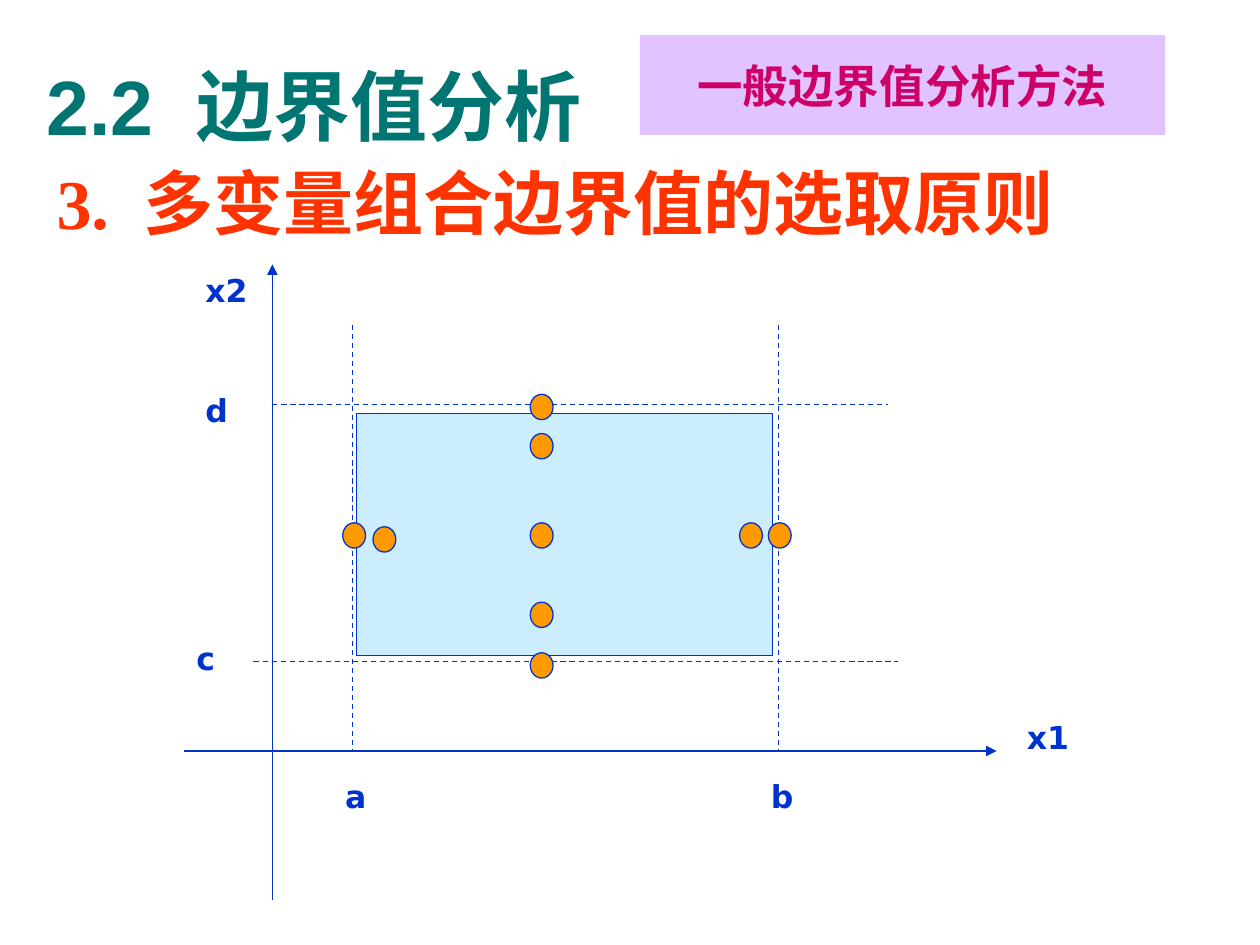
from dataclasses import dataclass
from typing import NamedTuple

from lxml.etree import SubElement
from pptx import Presentation
from pptx.dml.color import RGBColor as RGB
from pptx.enum.dml import MSO_LINE_DASH_STYLE as Dash
from pptx.enum.shapes import MSO_CONNECTOR as Connector, MSO_SHAPE as Shape
from pptx.enum.text import MSO_ANCHOR as Anchor, PP_ALIGN as Align
from pptx.oxml.ns import qn
from pptx.util import Cm, Pt


@dataclass(frozen=True)
class Theme:
    ink: str = "0033CC"
    area: str = "CCECFF"
    dot: str = "FF9900"
    title: str = "007572"
    heading: str = "FF3300"
    badge: str = "CC99FF"
    badge_text: str = "CC0066"
    line: float = 0.75
    title_size: int = 44
    heading_size: int = 40
    badge_size: int = 26
    label_size: int = 18
    sans: str = "Arial"
    serif: str = "Times New Roman"
    label_font: str = "DejaVu Sans"


class Box(NamedTuple):
    x: float
    y: float
    w: float
    h: float


class Line(NamedTuple):
    x1: float
    y1: float
    x2: float
    y2: float
    arrow: bool = False


class Label(NamedTuple):
    text: str
    x: float
    y: float


T = Theme()

AXIS_X, AXIS_Y = 5.49, 15.14
A, B, C, D = 7.11, 15.7, 13.34, 8.15
BOUND_TOP = 6.55
LINES = [
    Line(3.71, AXIS_Y, 20.09, AXIS_Y, True),
    Line(AXIS_X, 18.14, AXIS_X, 5.33, True),
    Line(5.11, C, 18.11, C),
    Line(A, BOUND_TOP, A, AXIS_Y),
    Line(AXIS_X, D, 17.91, D),
    Line(B, BOUND_TOP, B, AXIS_Y),
]
DOMAIN = Box(7.19, 8.33, 8.38, 4.88)
LABEL_Y = 15.54
LABELS = [
    Label("x1", 20.45, 14.35),
    Label("x2", 3.89, 5.33),
    Label("a", 6.71, LABEL_Y),
    Label("b", 15.29, LABEL_Y),
    Label("c", 3.71, 12.75),
    Label("d", 3.89, 7.75),
]
DOT_W, DOT_H = 0.46, 0.51
MID_X, MID_Y = 10.69, 10.54
DOTS = [(6.91, MID_Y), (7.52, 10.62), (14.91, MID_Y), (15.49, MID_Y)]
DOTS += [(MID_X, y) for y in (12.14, 13.16, 8.74, 7.95, MID_Y)]


def add_run(p, text: str, *, size: float, color: str, font: str, spacing: float = 0):
    r = p.add_run()
    r.text = text
    f = r.font
    f.size, f.bold, f.name = Pt(size), True, font
    f.color.rgb = RGB.from_string(color)
    if spacing:
        r._r.get_or_add_rPr().set("spc", str(round(spacing * 100)))
    return r


def add_text_box(s, box: Box, anchor=Anchor.TOP):
    tf = s.shapes.add_textbox(*map(Cm, box)).text_frame
    tf.word_wrap = True
    tf.vertical_anchor = anchor
    return tf.paragraphs[0]


def add_shape(s, kind, box: Box, fill: str, outline: bool = True):
    sp = s.shapes.add_shape(kind, *map(Cm, box))
    sp.shadow.inherit = False
    sp.fill.solid()
    sp.fill.fore_color.rgb = RGB.from_string(fill)
    if outline:
        sp.line.color.rgb = RGB.from_string(T.ink)
        sp.line.width = Pt(T.line)
    else:
        sp.line.fill.background()
    return sp


def add_line(s, line: Line) -> None:
    ends = map(Cm, (line.x1, line.y1, line.x2, line.y2))
    c = s.shapes.add_connector(Connector.STRAIGHT, *ends)
    c.line.color.rgb = RGB.from_string(T.ink)
    c.line.width = Pt(T.line)
    if line.arrow:
        SubElement(c.line._get_or_add_ln(), qn("a:tailEnd"), type="triangle")
    else:
        c.line.dash_style = Dash.DASH
    SubElement(c._element.spPr, qn("a:effectLst"))


def add_diagram(s) -> None:
    for line in LINES:
        add_line(s, line)
    add_shape(s, Shape.RECTANGLE, DOMAIN, T.area)
    for label in LABELS:
        p = add_text_box(s, Box(label.x, label.y, 1.85, 1.02))
        add_run(p, label.text, size=T.label_size, color=T.ink, font=T.label_font)
    for x, y in DOTS:
        add_shape(s, Shape.OVAL, Box(x, y, DOT_W, DOT_H), T.dot)


def add_headings(s) -> None:
    p = add_text_box(s, Box(0.69, 0.53, 23.72, 3.18), Anchor.MIDDLE)
    style = dict(size=T.title_size, color=T.title, font=T.sans)
    add_run(p, "2.2", **style)
    add_run(p, " ", spacing=12, **style)
    add_run(p, "边界值分析", **style)

    p = add_text_box(s, Box(0.89, 2.92, 23.8, 15.6))
    p.line_spacing = 1.1
    pPr = p._p.get_or_add_pPr()
    pPr.set("marL", str(Cm(1.7)))
    pPr.set("indent", str(-Cm(1.7)))
    style = dict(size=T.heading_size, color=T.heading)
    add_run(p, "3.", font=T.serif, **style)
    add_run(p, " ", font=T.serif, spacing=10, **style)
    add_run(p, "多变量组合边界值的选取原则", font=T.sans, **style)


def add_badge(s) -> None:
    sp = add_shape(s, Shape.RECTANGLE, Box(12.9, 0.71, 10.59, 2.01), T.badge, False)
    color = sp._element.spPr.find(qn("a:solidFill"))[0]
    SubElement(color, qn("a:alpha"), val="59000")
    tf = sp.text_frame
    tf.vertical_anchor = Anchor.MIDDLE
    p = tf.paragraphs[0]
    p.alignment = Align.CENTER
    add_run(p, "一般边界值分析方法", size=T.badge_size, color=T.badge_text, font=T.sans)


def main() -> None:
    prs = Presentation()
    prs.slide_width, prs.slide_height = Cm(25.4), Cm(19.05)
    s = prs.slides.add_slide(prs.slide_layouts[6])
    add_diagram(s)
    add_headings(s)
    add_badge(s)
    prs.save("out.pptx")


if __name__ == "__main__":
    main()
